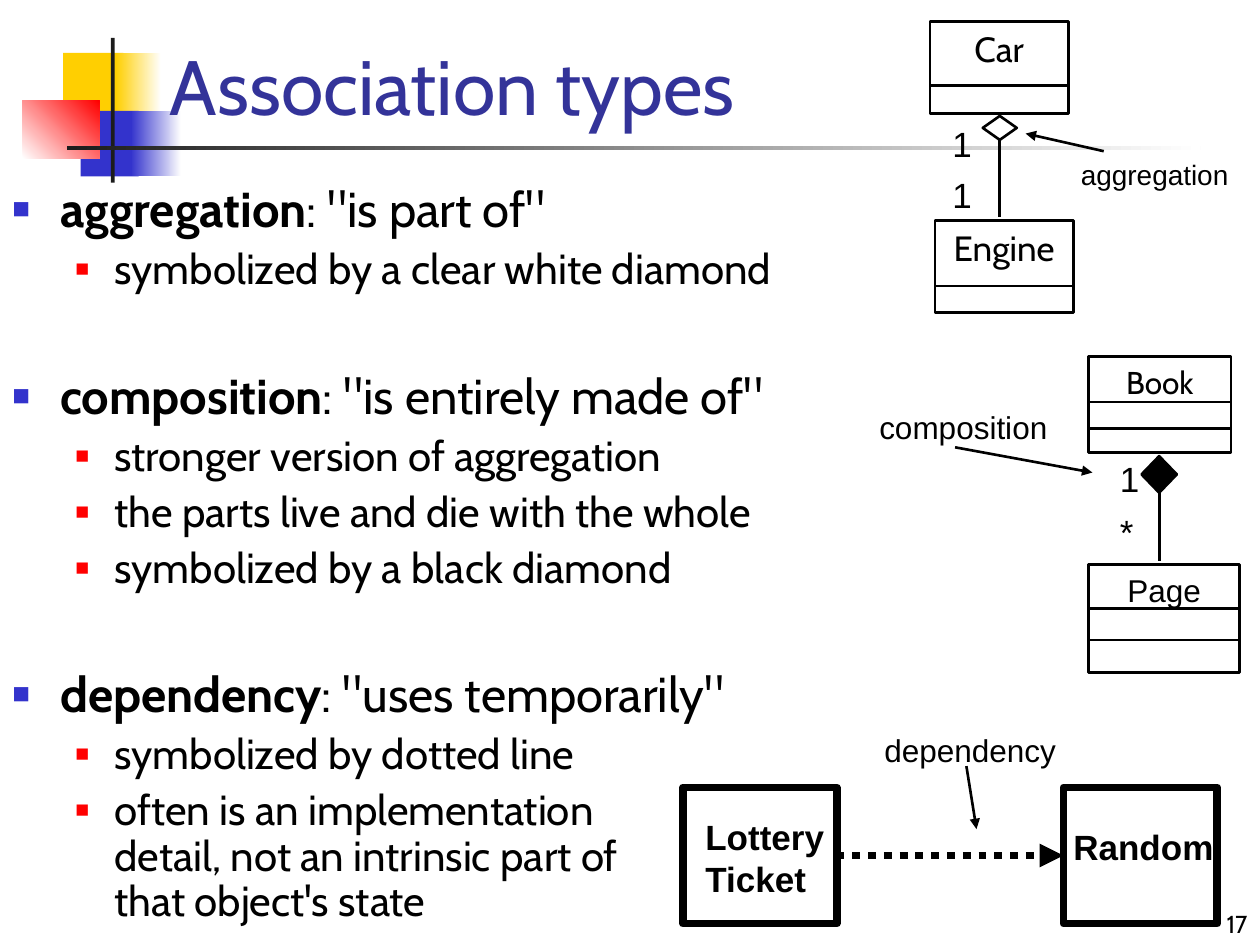
from lxml.etree import SubElement
from pptx import Presentation
from pptx.dml.color import RGBColor
from pptx.enum.dml import MSO_LINE
from pptx.enum.shapes import MSO_CONNECTOR, MSO_SHAPE
from pptx.enum.text import MSO_ANCHOR, PP_ALIGN
from pptx.oxml.ns import qn
from pptx.util import Inches, Pt

BLACK = "000000"
DECORATION = [
    (0.5, 0.42, 0.48, 0.52, ["FFCF01"], 0),
    (0.92, 0.42, 0.36, 0.52, ["FFCF01", "FFFFFF"], 0),
    (0.64, 0.88, 0.46, 0.52, ["3333CC"], 0),
    (1.04, 0.88, 0.4, 0.52, ["3333CC", "FFFFFF"], 0),
    (0.18, 0.8, 0.61, 0.46, ["FFFFFF", "FF0000"], 45),
    (0.88, 0.3, 0.03, 1.15, ["1C1C1C"], 0),
    (0.53, 1.16, 9, 0.03, ["1C1C1C", "FFFFFF"], 0),
]
TOPICS = [
    ("aggregation", ": \"is part of\"", ["symbolized by a clear white diamond"]),
    ("composition", ": \"is entirely made of\"", [
        "stronger version of aggregation",
        "the parts live and die with the whole",
        "symbolized by a black diamond",
    ]),
    ("dependency", ": \"uses temporarily\"", [
        "symbolized by dotted line",
        "often is an implementation\vdetail, not an intrinsic part of\vthat object's state",
    ]),
]
TOPIC_GAP = 44.5
CLASSES = [
    ("Car", 7.38, 0.17, 1.1, 0.73, 20, "Cabin", [0.68]),
    ("Engine", 7.42, 1.75, 1.1, 0.73, 20, "Cabin", [2.27]),
    ("Book", 8.64, 2.83, 1.13, 0.76, 18, "Cabin", [3.19, 3.4]),
    ("Page", 8.64, 4.48, 1.2, 0.86, 18, "Arial", [4.83, 5.08]),
]
DIAMONDS = [
    (7.8, 0.92, 0.27, 0.19, None, 1.72),
    (9.06, 3.62, 0.28, 0.29, BLACK, 4.45),
]
LABELS = [
    ("1", 7.46, 0.92, 0.35, 0.44, 20, False),
    ("1", 7.46, 1.33, 0.35, 0.44, 20, False),
    ("1", 8.79, 3.58, 0.35, 0.44, 20, False),
    ("*", 8.79, 4, 0.35, 0.44, 20, False),
    ("aggregation", 8.48, 1.2, 1.52, 0.37, 16, False),
    ("composition", 6.88, 3.19, 1.55, 0.4, 18, False),
    ("dependency", 6.92, 5.75, 1.75, 0.4, 18, False),
    ("Lottery\vTicket", 5.5, 6.42, 1.26, 0.77, 20, True),
    ("Random", 8.42, 6.5, 1.42, 0.44, 20, True),
]
POINTERS = [
    (8.76, 1.2, 8.14, 1.06),
    (7.58, 3.55, 8.67, 3.75),
    (7.67, 6.08, 7.75, 6.58),
]

presentation = Presentation()
presentation.slide_width, presentation.slide_height = Inches(10), Inches(7.5)
slide = presentation.slides.add_slide(presentation.slide_layouts[6])


def color(value):
    return RGBColor.from_string(value)


def format_runs(paragraph, size, font, fill=BLACK, bold=False):
    for run in paragraph.runs:
        run.font.size = Pt(size)
        run.font.name = font
        run.font.bold = bold
        run.font.color.rgb = color(fill)


def add_text(text, left, top, width, height, size, font, fill=BLACK, bold=False,
             align=PP_ALIGN.LEFT, anchor=MSO_ANCHOR.TOP):
    box = slide.shapes.add_textbox(*map(Inches, (left, top, width, height)))
    frame = box.text_frame
    frame.word_wrap = True
    frame.vertical_anchor = anchor
    frame.text = text
    frame.paragraphs[0].alignment = align
    format_runs(frame.paragraphs[0], size, font, fill, bold)


def add_outline(kind, left, top, width, height, fill=None, line_width=1.5):
    shape = slide.shapes.add_shape(kind, *map(Inches, (left, top, width, height)))
    shape.shadow.inherit = False
    if fill:
        shape.fill.solid()
        shape.fill.fore_color.rgb = color(fill)
    else:
        shape.fill.background()
    shape.line.color.rgb = color(BLACK)
    shape.line.width = Pt(line_width)
    return shape


def add_line(x1, y1, x2, y2, width=1.5, arrow=False, dash=None):
    line = slide.shapes.add_connector(MSO_CONNECTOR.STRAIGHT, *map(Inches, (x1, y1, x2, y2)))
    line.line.color.rgb = color(BLACK)
    line.line.width = Pt(width)
    if dash:
        line.line.dash_style = dash
    properties = line._element.spPr
    if arrow:
        SubElement(properties.find(qn("a:ln")), qn("a:tailEnd"), type="triangle")
    SubElement(properties, qn("a:effectLst"))
    return line


def add_bullet(paragraph, fill, percent, margin, indent):
    properties = paragraph._p.get_or_add_pPr()
    properties.set("marL", str(Inches(margin)))
    properties.set("indent", str(Inches(-indent)))
    bullet_color = SubElement(properties, qn("a:buClr"))
    SubElement(bullet_color, qn("a:srgbClr"), val=fill)
    SubElement(properties, qn("a:buSzPct"), val=str(percent * 1000))
    SubElement(properties, qn("a:buFont"), typeface="Arial")
    SubElement(properties, qn("a:buChar"), char="■")


def add_topics():
    box = slide.shapes.add_textbox(Inches(0), Inches(1.42), Inches(7), Inches(6.08))
    frame = box.text_frame
    frame.word_wrap = True
    for index, (term, meaning, details) in enumerate(TOPICS):
        heading = frame.add_paragraph() if index else frame.paragraphs[0]
        heading.line_spacing = 0.9
        heading.space_before = Pt(TOPIC_GAP if index else 0)
        add_bullet(heading, "3333CC", 60, 0.38, 0.38)
        for text in (term, meaning):
            heading.add_run().text = text
        format_runs(heading, 28, "Cabin")
        heading.runs[0].font.bold = True
        for text in details:
            detail = frame.add_paragraph()
            detail.text = text
            detail.level = 1
            detail.line_spacing = 0.9
            detail.space_before = Pt(6)
            add_bullet(detail, "FF0000", 55, 0.81, 0.31)
            format_runs(detail, 24, "Cabin")


for left, top, width, height, colors, angle in DECORATION:
    block = add_outline(MSO_SHAPE.RECTANGLE, left, top, width, height, colors[0])
    block.line.fill.background()
    if len(colors) > 1:
        block.fill.gradient()
        block.fill.gradient_angle = angle
        for stop, value in zip(block.fill.gradient_stops, colors):
            stop.color.rgb = color(value)

add_text("17", 8.5, 7, 1.5, 0.5, 14, "Cabin", align=PP_ALIGN.RIGHT, anchor=MSO_ANCHOR.BOTTOM)
add_text("Association types", 1.25, 0.17, 8.53, 0.92, 44, "Cabin", "333399",
         anchor=MSO_ANCHOR.BOTTOM)
add_topics()

for name, left, top, width, height, size, font, dividers in CLASSES:
    box = add_outline(MSO_SHAPE.RECTANGLE, left, top, width, height)
    box.text_frame.text = name
    box.text_frame.vertical_anchor = MSO_ANCHOR.TOP
    box.text_frame.paragraphs[0].alignment = PP_ALIGN.CENTER
    format_runs(box.text_frame.paragraphs[0], size, font)
    for y in dividers:
        add_line(left, y, left + width, y)

for left, top, width, height, fill, line_end in DIAMONDS:
    diamond = add_outline(MSO_SHAPE.DIAMOND, left, top, width, height, fill)
    center = left + width / 2
    add_line(center, top + height, center, line_end).begin_connect(diamond, 2)

client, supplier = [
    add_outline(MSO_SHAPE.RECTANGLE, left, 6.25, 1.22, 1.08, line_width=4.5)
    for left in (5.42, 8.44)
]
dependency = add_line(6.64, 6.79, 8.44, 6.79, 4.5, True, MSO_LINE.ROUND_DOT)
dependency.begin_connect(client, 3)
dependency.end_connect(supplier, 1)

for text, left, top, width, height, size, bold in LABELS:
    add_text(text, left, top, width, height, size, "Arial", bold=bold)
for pointer in POINTERS:
    add_line(*pointer, arrow=True)

presentation.save("out.pptx")
